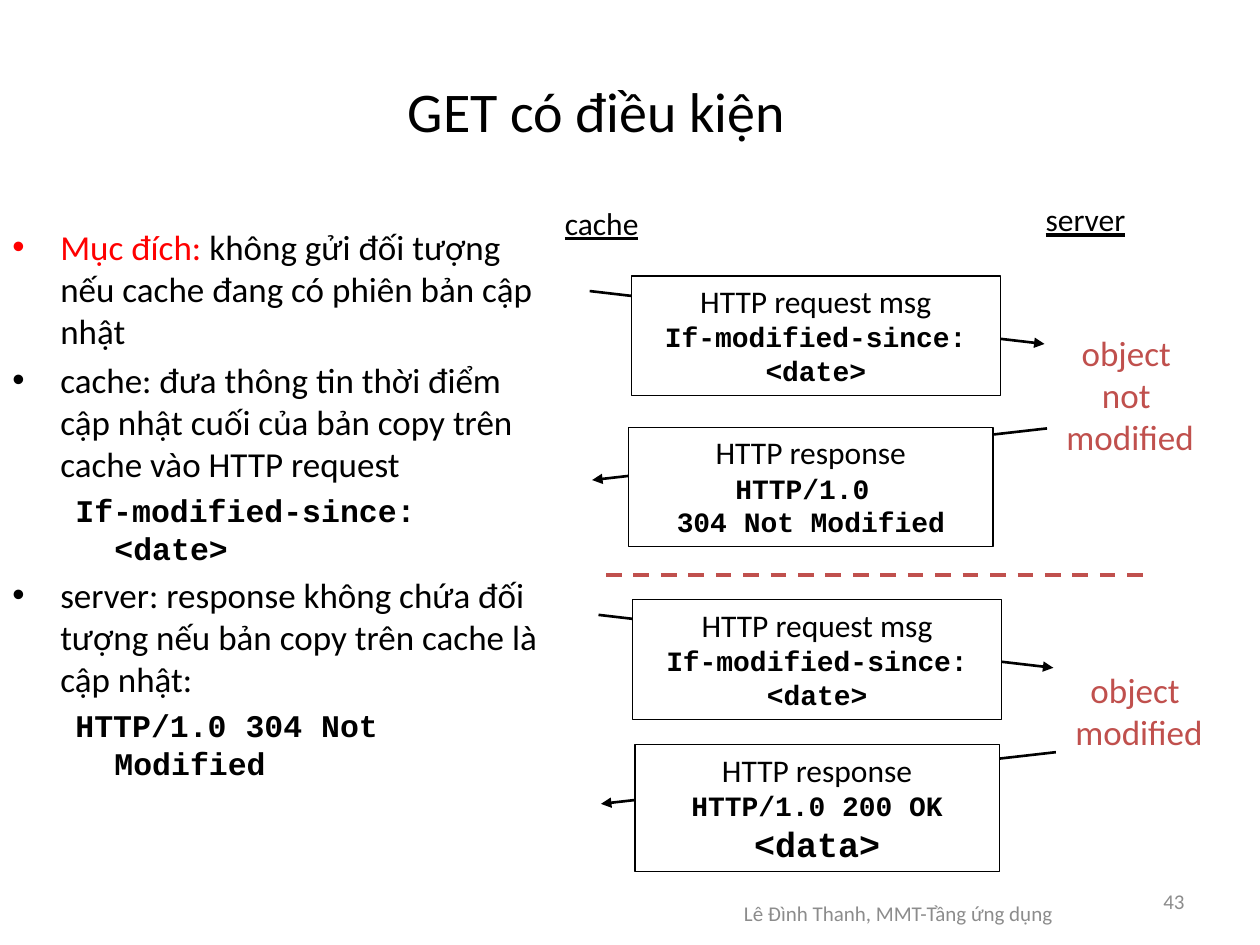
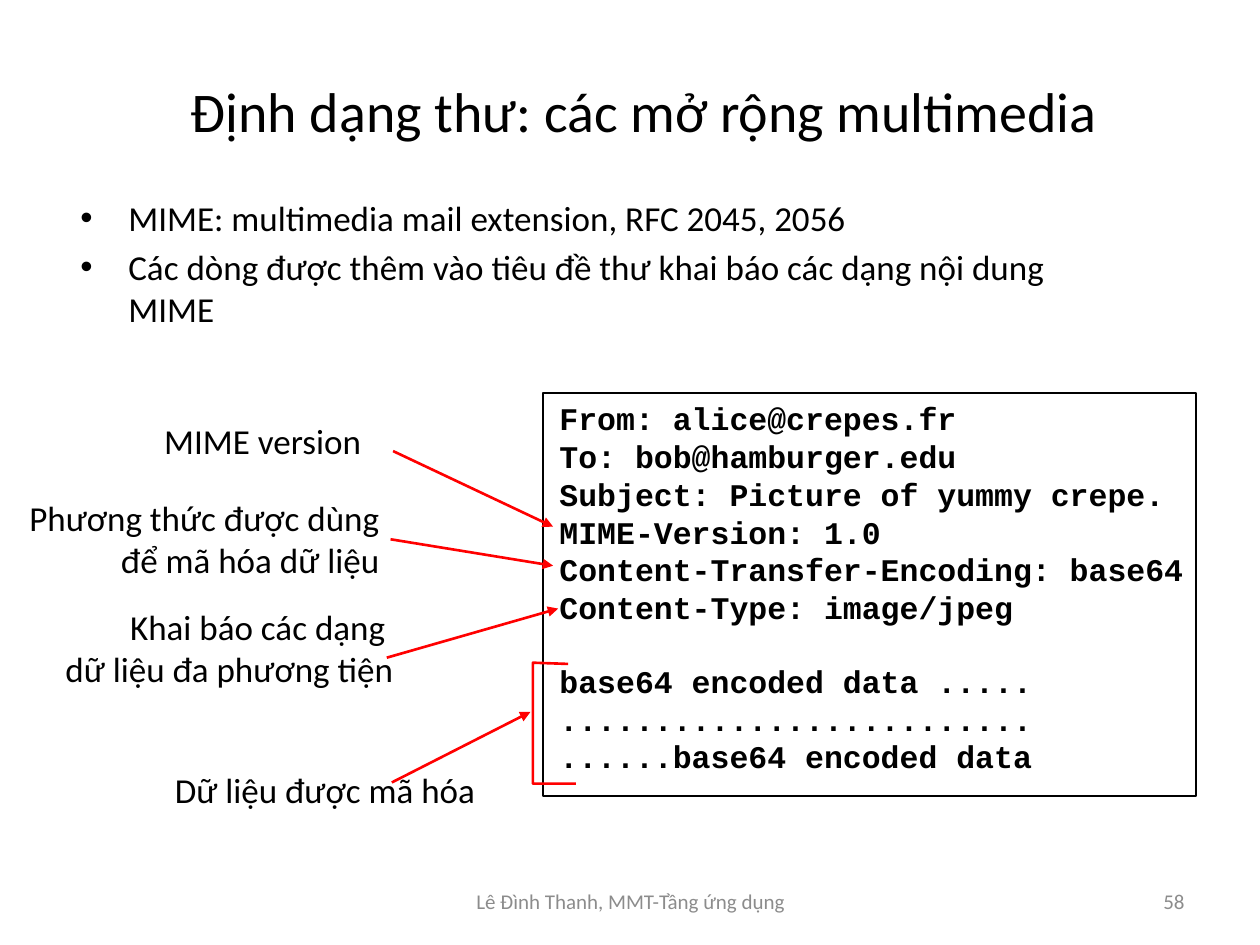
from lxml import etree
from pptx import Presentation
from pptx.dml.color import RGBColor
from pptx.enum import dml, shapes, text
from pptx.oxml import ns
from pptx.util import Inches, Pt

HUES = {"ink": "000000", "paper": "FFFFFF", "red": "FF0000",
        "brick": "C0504D", "grey": "8C8C8C"}
SANS, MONO = "Calibri", "Courier New"
MID, RIGHT = text.PP_ALIGN.CENTER, text.PP_ALIGN.RIGHT
CREDIT = "Lê Đình Thanh, MMT-Tầng ứng dụng"
CODE = {"face": MONO, "size": 16, "bold": True}
BULLET = {"hang": (0.38, -0.38), "mark": "•", "before": 4}
SUB = {"hang": (0.81, -0.31), "before": 3.6, "face": MONO, "size": 18, "bold": True}


def hue(name):
    return RGBColor.from_string(HUES[name])


def add(parent, tag, **attrs):
    return etree.SubElement(parent, ns.qn(tag), attrs)


def style(para, words, size=20, face=SANS, ink="ink", bold=False, line=False,
          align=None, before=0, hang=None, mark=None):
    """Format one paragraph; words is a string or a list of (string, colour)."""
    if hang:
        props = para._p.get_or_add_pPr()
        props.set("marL", str(Inches(hang[0])))
        props.set("indent", str(Inches(hang[1])))
        if mark:
            add(props, "a:buFont", typeface="Arial")
            add(props, "a:buChar", char=mark)
    para.alignment = align
    para.space_before = Pt(before)
    for part, tint in [(words, ink)] if isinstance(words, str) else words:
        run = para.add_run()
        run.text = part
        font = run.font
        font.name, font.size, font.bold = face, Pt(size), bold
        font.underline = line
        font.color.rgb = hue(tint)


def write(shape, paras, anchor=text.MSO_ANCHOR.TOP, **base):
    """Fill a shape; each paragraph is its words or (words, own format)."""
    frame = shape.text_frame
    frame.word_wrap = True
    frame.vertical_anchor = anchor
    for i, item in enumerate(paras):
        words, own = item if isinstance(item, tuple) else (item, {})
        fmt = {**base, **own}
        if i == 0:
            fmt["before"] = 0
        style(frame.add_paragraph() if i else frame.paragraphs[0], words, **fmt)


def label(slide, box, *paras, **fmt):
    write(slide.shapes.add_textbox(*map(Inches, box)), paras, **fmt)


def panel(slide, box, fill=None, width=0.75):
    shape = slide.shapes.add_shape(shapes.MSO_SHAPE.RECTANGLE, *map(Inches, box))
    shape.shadow.inherit = False
    if fill:
        shape.fill.solid()
        shape.fill.fore_color.rgb = hue(fill)
    else:
        shape.fill.background()
    shape.line.color.rgb = hue("ink")
    shape.line.width = Pt(width)
    return shape


def rule(slide, start, end, ink="ink", width=1.5, dash=None, arrow=True):
    line = slide.shapes.add_connector(shapes.MSO_CONNECTOR.STRAIGHT,
                                      *map(Inches, (*start, *end)))
    line.line.color.rgb = hue(ink)
    line.line.width = Pt(width)
    if dash:
        line.line.dash_style = dash
    props = line.element.spPr
    if arrow:
        add(props.find(ns.qn("a:ln")), "a:tailEnd", type="triangle")
    add(props, "a:effectLst")


def base(deck, title, box, number, foot):
    """Add a slide with its title and footers."""
    slide = deck.slides.add_slide(deck.slide_layouts[6])
    middle = text.MSO_ANCHOR.MIDDLE
    label(slide, box, title, size=32, align=MID, anchor=middle)
    label(slide, foot, CREDIT, size=12, ink="grey", align=MID, anchor=middle)
    label(slide, (7.17, 6.95, 2.33, 0.4), number, size=12, ink="grey",
          align=RIGHT, anchor=middle)
    return slide


def trade(slide, x, y, ask, reply, tall, answer, note, verdict):
    """Draw one request and its response; ask, reply and note are offsets."""
    rule(slide, (x, y), (x + 3.61, y + 0.42))
    rule(slide, (x + 3.63, y + 1.09), (x + 0.02, y + 1.5))
    request = ["HTTP request msg", ("If-modified-since: <date>", CODE)]
    for (dx, dy), wide, high, paras in ((ask, 2.93, 0.95, request),
                                       (reply, 2.89, tall, ["HTTP response", *answer])):
        box = panel(slide, (x + dx, y + dy, wide, high), "paper")
        write(box, paras, size=18, align=MID)
    label(slide, (x + note[0], y + note[1], 1.34, 0.36 * len(verdict)), *verdict,
          ink="brick", align=MID)


def mail(slide, x, y, wide, high):
    """Draw the message with its notes to the left."""
    box = panel(slide, (x, y, wide, high), width=1)
    box.text_frame.margin_left = Inches(0.13)
    box.text_frame.margin_right = 0
    write(box, ["From: alice@crepes.fr", "To: bob@hamburger.edu",
                "Subject: Picture of yummy crepe.", "MIME-Version: 1.0",
                "Content-Transfer-Encoding: base64", "Content-Type: image/jpeg",
                ("base64 encoded data .....", {"before": 20.4}),
                ".........................", "......base64 encoded data"],
          size=18, face=MONO, bold=True, align=text.PP_ALIGN.LEFT)
    notes = [
        (["MIME version"], MID, (-3.25, 0.16, 2.05), (-1.19, 0.46), (0.08, 1.06)),
        (["Phương thức được dùng", "để mã hóa dữ liệu"], RIGHT,
         (-4.44, 0.77, 3.24), (-1.21, 1.16), (0.08, 1.37)),
        (["Khai báo các dạng ", "dữ liệu đa phương tiện"], RIGHT,
         (-4.08, 1.64, 2.99), (-1.24, 2.1), (0.12, 1.71)),
        (["Dữ liệu được mã hóa"], MID, (-3.1, 2.93, 2.74), (-1.2, 3.09), (-0.1, 2.53)),
    ]
    for words, align, (dx, dy, span), start, end in notes:
        label(slide, (x + dx, y + dy, span, 0.1 + 0.33 * len(words)), *words, align=align)
        rule(slide, (x + start[0], y + start[1]), (x + end[0], y + end[1]), "red")
    first, *rest = [(Inches(x + dx), Inches(y + dy)) for dx, dy in
                    ((0.2, 2.15), (-0.08, 2.14), (-0.08, 3.1), (0.26, 3.1))]
    path = slide.shapes.build_freeform(*first)
    path.add_line_segments(rest, close=False)
    brace = path.convert_to_shape()
    brace.shadow.inherit = False
    brace.fill.background()
    brace.line.color.rgb = hue("red")
    brace.line.width = Pt(1.5)


def get_slide(deck):
    slide = base(deck, "GET có điều kiện", (0.38, 0.25, 8.71, 1.25), "43",
                 (5.18, 7, 3.9, 0.5))
    label(slide, (0, 1.74, 4.42, 4.71),
          ([("Mục đích:", "red"),
            (" không gửi đối tượng nếu cache đang có phiên bản cập nhật", "ink")], BULLET),
          ("cache: đưa thông tin thời điểm cập nhật cuối của bản copy trên cache "
           "vào HTTP request", BULLET),
          ("If-modified-since: <date>", SUB),
          ("server: response không chứa đối tượng nếu bản copy trên cache là "
           "cập nhật:", BULLET),
          ("HTTP/1.0 304 Not Modified", SUB))
    label(slide, (4.23, 1.57, 1.09, 0.5), "cache", size=18, line=True, align=MID)
    label(slide, (8.01, 1.54, 1.21, 0.5), "server", size=18, line=True, align=MID)
    trade(slide, 4.68, 2.31, (0.33, -0.12), (0.31, 1.08), 0.95,
          [("HTTP/1.0 ", CODE), ("304 Not Modified", CODE)],
          (3.62, 0.27), ["object ", "not ", "modified"])
    rule(slide, (4.81, 4.56), (9.08, 4.56), "brick", 2.25,
         dml.MSO_LINE.DASH, arrow=False)
    trade(slide, 4.75, 4.88, (0.27, -0.12), (0.29, 1.03), 1.01,
          [("HTTP/1.0 200 OK", CODE), ("<data>", {**CODE, "size": 20})],
          (3.62, 0.38), ["object ", "modified"])


def mime_slide(deck):
    slide = base(deck, "Định dạng thư: các mở rộng multimedia ",
                 (0.58, 0.25, 9.17, 1.25), "58", (3.42, 6.95, 3.17, 0.4))
    label(slide, (0.54, 1.51, 8.01, 1.3),
          "MIME: multimedia mail extension, RFC 2045, 2056",
          "Các dòng được thêm vào tiêu đề thư khai báo các dạng nội dung MIME",
          **BULLET)
    mail(slide, 4.31, 3.12, 5.18, 3.2)


def main():
    deck = Presentation()
    deck.slide_width, deck.slide_height = Inches(10), Inches(7.5)
    get_slide(deck)
    mime_slide(deck)
    deck.save("out.pptx")


if __name__ == "__main__":
    main()
